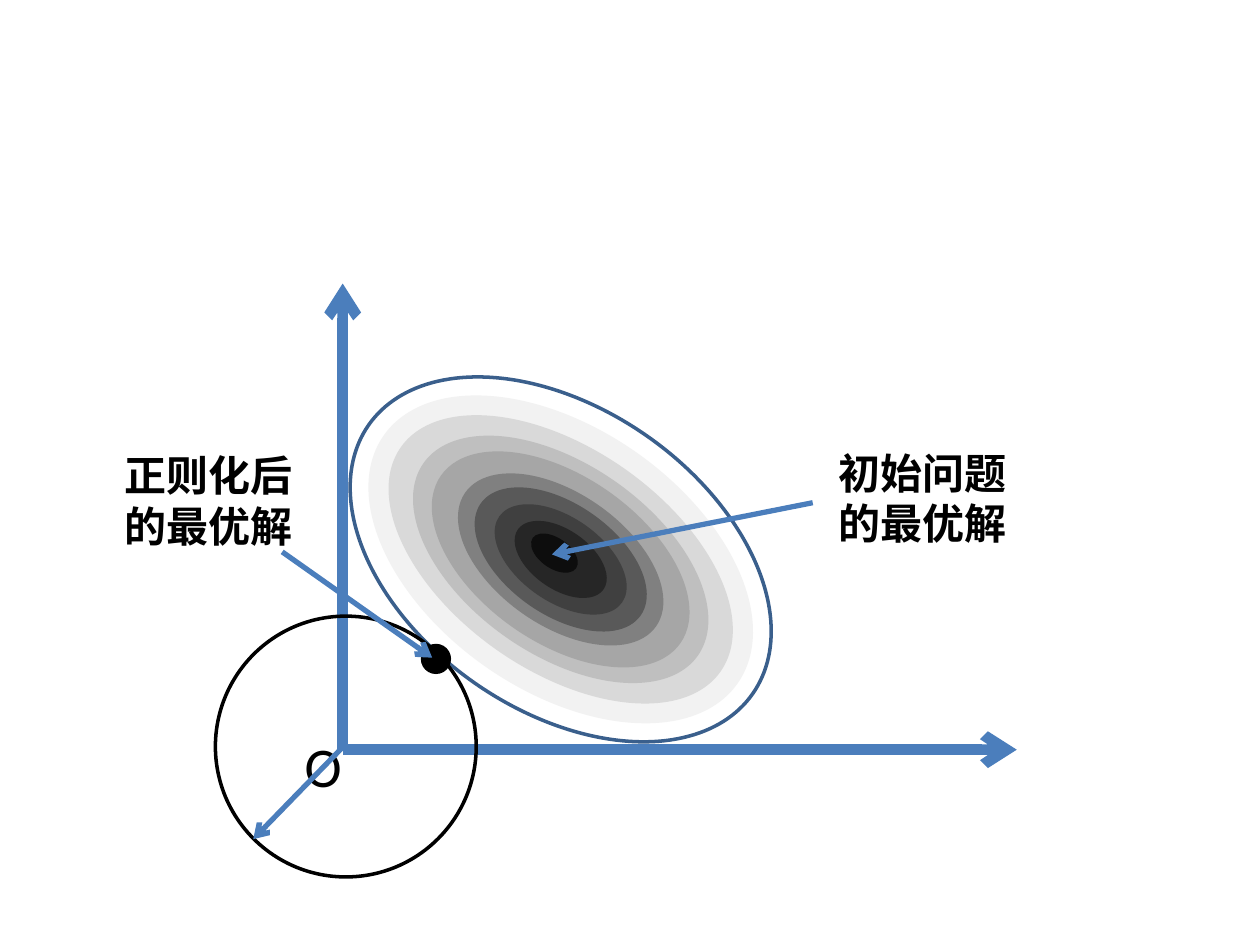
from pptx import Presentation
from pptx.dml.color import RGBColor
from pptx.enum.shapes import MSO_CONNECTOR as Conn, MSO_SHAPE as Form
from pptx.enum.text import MSO_AUTO_SIZE as Fit
from pptx.oxml.ns import qn
from pptx.util import Inches, Pt
from lxml.etree import SubElement as Sub

deck = Presentation()
deck.slide_width, deck.slide_height = Inches(10), Inches(7.5)
slide = deck.slides.add_slide(deck.slide_layouts[6])
shapes = slide.shapes

# Grid of 100 columns by 75 rows
cell = deck.slide_width / 100


def grid(*vals):
    return [round(v * cell) for v in vals]


def tint(code):
    return RGBColor.from_string(code)


# Objects from back to front: kind, then its values
BLUE, BLACK = "4B7EBC", "000000"
parts = [
    # Axes and origin
    ("arrow", (27.2, 59.5, 80.7, 59.5), 6),
    ("arrow", (27.2, 59.5, 27.2, 22.5), 6),
    ("text", (23.2, 57.6, 9.4, 6.4), ["O"], 32, False),
]

# Contours: width, height, fill, around a shared centre
mid = (44.5, 44.4)
rings = [
    (37.2, 23.9, "FFFFFF"), (34.3, 20.8, "F2F2F2"), (31, 17.6, "D9D9D9"),
    (26.6, 15.1, "BFBFBF"), (23.2, 13.2, "A6A6A6"), (18.5, 10.5, "808080"),
    (15.5, 8.8, "595959"), (11.9, 6.7, "404040"), (8.3, 4.7, "262626"),
    (4.2, 2.4, "0D0D0D"),
]
for i, (w, h, fill) in enumerate(rings):
    x, y = (44, 43.9) if i == len(rings) - 1 else mid
    edge = None if i else "3A5F8C"
    parts.append(("oval", (x - w / 2, y - h / 2, w, h), fill, edge, 35))

parts += [
    # Constraint circle and the point where it touches the contour
    ("oval", (17.1, 48.9, 20.7, 20.7), None, BLACK, 0),
    ("oval", (33.4, 51.1, 2.4, 2.4), BLACK, None, 0),
    # Labels, their pointers and the radius
    ("arrow", (64.5, 39.9, 43.8, 44), 3),
    ("text", (65.6, 35, 17.5, 9.1), ["初始问题", "的最优解"], 24, True),
    ("arrow", (22.4, 43.8, 34.3, 52.2), 3),
    ("text", (8.9, 35.2, 17.5, 9.1), ["正则化后的最优解"], 24, True),
    ("arrow", (27.2, 59.3, 20.1, 66.6), 3),
]

# Draw every part
for kind, box, *rest in parts:
    if kind == "arrow":
        line = shapes.add_connector(Conn.STRAIGHT, *grid(*box))
        line.line.color.rgb = tint(BLUE)
        line.line.width = Pt(rest[0])
        Sub(line.line._get_or_add_ln(), qn("a:tailEnd"), type="arrow")
        Sub(line._element.spPr, qn("a:effectLst"))
    elif kind == "oval":
        fill, edge, turn = rest
        oval = shapes.add_shape(Form.OVAL, *grid(*box))
        oval.shadow.inherit = False
        oval.rotation = turn
        if fill:
            oval.fill.solid()
            oval.fill.fore_color.rgb = tint(fill)
        else:
            oval.fill.background()
        if edge:
            oval.line.color.rgb = tint(edge)
            oval.line.width = Pt(2)
        else:
            oval.line.fill.background()
    else:
        words, size, bold = rest
        frame = shapes.add_textbox(*grid(*box)).text_frame
        frame.word_wrap = True
        frame.auto_size = Fit.SHAPE_TO_FIT_TEXT
        for i, word in enumerate(words):
            para = frame.add_paragraph() if i else frame.paragraphs[0]
            run = para.add_run()
            run.text = word
            font = run.font
            font.name, font.size, font.bold = "Calibri", Pt(size), bold
            font.color.rgb = tint(BLACK)

deck.save("out.pptx")
